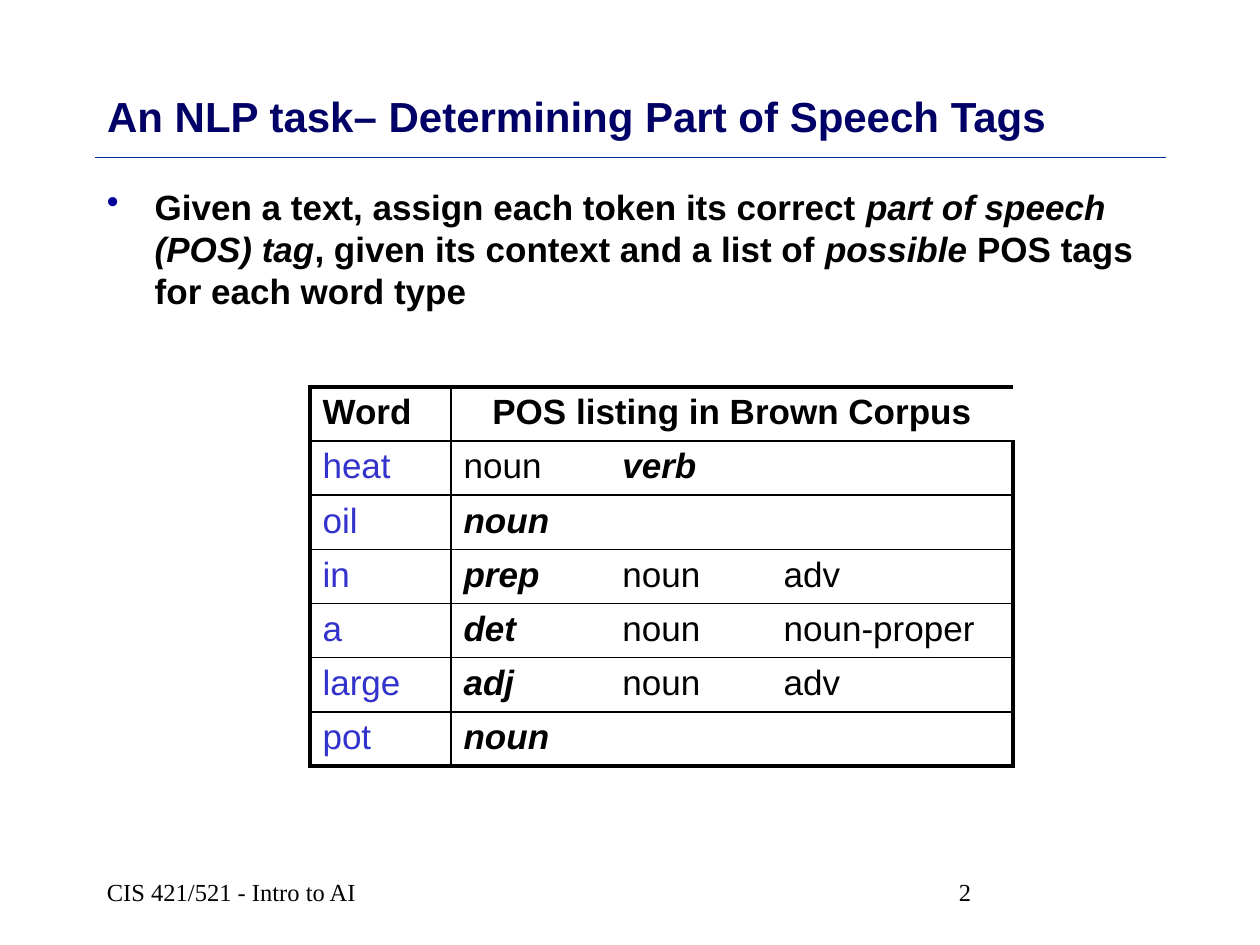
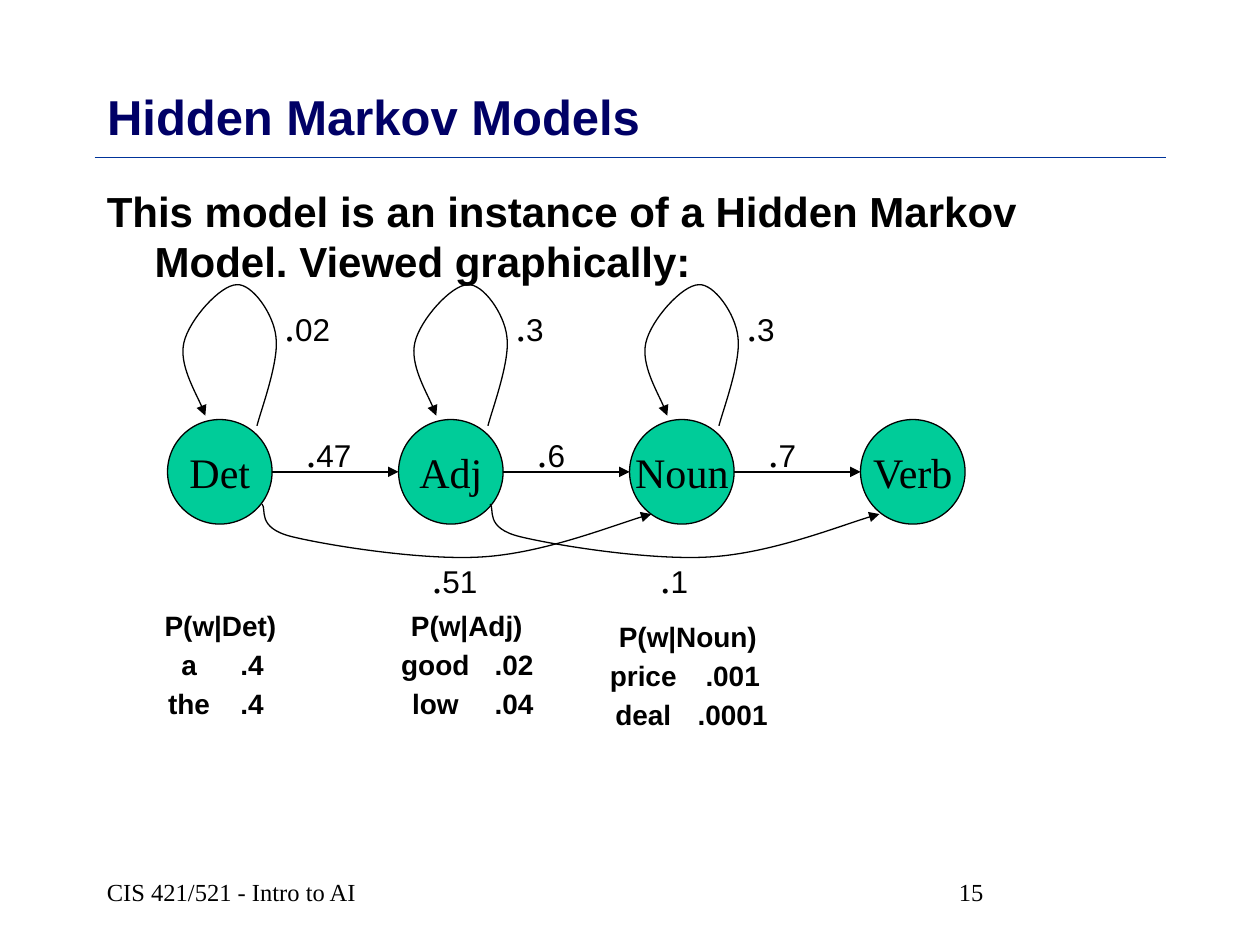
from dataclasses import dataclass

from lxml import etree
from pptx import Presentation
from pptx.dml.color import RGBColor
from pptx.enum.shapes import MSO_CONNECTOR, MSO_SHAPE
from pptx.enum.text import MSO_ANCHOR, MSO_AUTO_SIZE, PP_ALIGN
from pptx.oxml.ns import qn
from pptx.util import Inches, Pt

LEFT, CENTER = PP_ALIGN.LEFT, PP_ALIGN.CENTER
TOP, MIDDLE = MSO_ANCHOR.TOP, MSO_ANCHOR.MIDDLE
STRAIGHT, OVAL = MSO_CONNECTOR.STRAIGHT, MSO_SHAPE.OVAL
TITLE_ONLY = 5


@dataclass(frozen=True)
class Theme:
    ink: str = "000000"
    title: str = "000066"
    rule: str = "003399"
    bullet: str = "000099"
    word: str = "3333CC"
    state: str = "00CC99"
    sans: str = "Arial"
    serif: str = "Times New Roman"
    footer_size: int = 14
    small_size: int = 16
    label_size: int = 18
    table_size: int = 20
    large_size: int = 24
    thin: float = 0.75
    medium: float = 1
    arrow: float = 1.5
    thick: float = 2.25


THEME = Theme()

# Content shared by the slides
FOOTER = "CIS 421/521 - Intro to AI"
MARGIN, CONTENT_WIDTH = 0.75, 8.5

# Content: part of speech tags; a star marks the correct tag
TASK = [
    ("Given a text, assign each token its correct ", False),
    ("part of speech (POS) tag", True),
    (", given its context and a list of ", False),
    ("possible", True),
    (" POS tags for each word type", False),
]
TAG_HEADER = ["Word", "POS listing in Brown Corpus"]
TAG_ROWS = [
    ["heat", "noun", "*verb"],
    ["oil", "*noun"],
    ["in", "*prep", "noun", "adv"],
    ["a", "*det", "noun", "noun-proper"],
    ["large", "*adj", "noun", "adv"],
    ["pot", "*noun"],
]
TAG_COLUMNS = [1.12, 1.26, 1.28, 1.92]

# Content: hidden Markov model
MODEL_INTRO = "This model is an instance of a Hidden Markov Model. Viewed graphically:"
STATES = [  # name, loop probability, probability of the next state
    ("Det", "02", "47"),
    ("Adj", "3", "6"),
    ("Noun", "3", "7"),
    ("Verb", None, None),
]
SKIPS = ["51", "1"]
EMISSIONS = [  # left, top, column widths, heading, rows
    (1.25, 4.83, [0.5, 0.5], "P(w|Det)", [["a", ".4"], ["the", ".4"]]),
    (3.08, 4.83, [0.75, 0.5], "P(w|Adj)", [["good", ".02"], ["low", ".04"]]),
    (4.75, 4.92, [0.71, 0.71], "P(w|Noun)", [["price", ".001"], ["deal", ".0001"]]),
]

# Geometry of the model; curves are a start point and triples of Bezier points
FIRST_STATE, STATE_PITCH, STATE_TOP, STATE_SIZE = 1.33, 11 / 6, 3.33, 0.83
SKIP_PITCH = 1.81
LOOP_CURVE = [
    (2.04, 3.38), (2.07, 3.26), (2.22, 2.86), (2.19, 2.67),
    (2.17, 2.49), (2.0, 2.25), (1.88, 2.26),
    (1.75, 2.26), (1.5, 2.54), (1.46, 2.72),
    (1.42, 2.89), (1.6, 3.2), (1.63, 3.3),
]
SKIP_CURVE = [
    (2.08, 4), (2.12, 4.04), (2.03, 4.19), (2.32, 4.26),
    (2.61, 4.33), (3.36, 4.45), (3.83, 4.42),
    (4.31, 4.39), (4.94, 4.14), (5.17, 4.08),
]


# Text helpers
def add_run(paragraph, text, size, color=THEME.ink, name=THEME.sans, **style):
    run = paragraph.add_run()
    run.text = text
    run.font.color.rgb = RGBColor.from_string(color)
    for key, value in {"size": Pt(size), "name": name, **style}.items():
        setattr(run.font, key, value)


def format_frame(frame, **values):
    defaults = {
        "word_wrap": True, "auto_size": MSO_AUTO_SIZE.NONE, "vertical_anchor": TOP,
        "margin_left": Inches(0.1), "margin_right": Inches(0.1),
        "margin_top": Inches(0.05), "margin_bottom": Inches(0.05),
    }
    for key, value in {**defaults, **values}.items():
        setattr(frame, key, value)
    return frame.paragraphs[0]


def add_text_box(slide, left, top, width, height, **frame_values):
    box = slide.shapes.add_textbox(*map(Inches, (left, top, width, height)))
    return format_frame(box.text_frame, **frame_values)


def add_body(slide, bullet=None):
    paragraph = add_text_box(slide, MARGIN, 1.42, CONTENT_WIDTH, 5)
    properties = paragraph._p.get_or_add_pPr()
    properties.set("marL", str(Inches(0.38)))
    properties.set("indent", str(-Inches(0.38)))
    if bullet:
        color = etree.SubElement(properties, qn("a:buClr"))
        etree.SubElement(color, qn("a:srgbClr"), val=THEME.bullet)
        etree.SubElement(properties, qn("a:buChar"), char=bullet)
    return paragraph


# Line helpers
def format_line(shape, width, color=THEME.ink, arrow=False):
    shape.line.color.rgb = RGBColor.from_string(color)
    shape.line.width = Pt(width)
    if arrow:
        etree.SubElement(shape.line._get_or_add_ln(), qn("a:tailEnd"), type="triangle")


def add_line(slide, start, end, width, **line):
    connector = slide.shapes.add_connector(STRAIGHT, *map(Inches, (*start, *end)))
    format_line(connector, width, **line)
    etree.SubElement(connector._element.spPr, qn("a:effectLst"))


def add_curve(slide, points, shift):
    start, *rest = [(Inches(x + shift), Inches(y)) for x, y in points]
    builder = slide.shapes.build_freeform(*start)
    builder.add_line_segments(rest, close=False)
    curve = builder.convert_to_shape()
    curve.shadow.inherit = False
    curve.fill.background()
    format_line(curve, THEME.thin, arrow=True)
    # Turn every three line segments into one Bezier segment
    segments = list(curve._element.iter(qn("a:lnTo")))
    for index in range(0, len(segments), 3):
        bezier = etree.Element(qn("a:cubicBezTo"))
        segments[index].addprevious(bezier)
        for segment in segments[index:index + 3]:
            bezier.append(segment[0])
            segment.getparent().remove(segment)


# Table helpers
def set_borders(cell, widths):
    properties = cell._tc.get_or_add_tcPr()
    for side, width in zip("LRTB", widths):
        line = etree.SubElement(properties, qn(f"a:ln{side}"), w=str(Pt(width)))
        if width:
            fill = etree.SubElement(line, qn("a:solidFill"))
            etree.SubElement(fill, qn("a:srgbClr"), val=THEME.ink)
        else:
            etree.SubElement(line, qn("a:noFill"))


def add_table(slide, left, top, columns, row_count, row_height, margins, borders):
    """Add a plain table; borders(row, column) gives left, right, top, bottom widths."""
    frame = slide.shapes.add_table(
        row_count, len(columns), Inches(left), Inches(top),
        Inches(sum(columns)), Inches(row_height * row_count))
    table = frame.table
    table.first_row = table.horz_banding = False
    for column, width in zip(table.columns, columns):
        column.width = Inches(width)
    horizontal, vertical = map(Inches, margins)
    for row in range(row_count):
        for column in range(len(columns)):
            cell = table.cell(row, column)
            cell.margin_left = cell.margin_right = horizontal
            cell.margin_top = cell.margin_bottom = vertical
            set_borders(cell, borders(row, column))
            cell.fill.background()
    return table


def write_cell(cell, text, size, align=LEFT, **style):
    paragraph = cell.text_frame.paragraphs[0]
    paragraph.alignment = align
    add_run(paragraph, text, size, **style)


# Slide frame: title, rule and footer
def add_slide(presentation, title, title_size, number):
    slide = presentation.slides.add_slide(presentation.slide_layouts[TITLE_ONLY])
    placeholder = slide.shapes.title
    box = {"left": MARGIN, "top": 0.67, "width": CONTENT_WIDTH, "height": 0.5}
    for key, value in box.items():
        setattr(placeholder, key, Inches(value))
    paragraph = format_frame(placeholder.text_frame, vertical_anchor=MIDDLE)
    paragraph.alignment = LEFT
    add_run(paragraph, title, title_size, THEME.title, bold=True)
    add_line(slide, (MARGIN, 1.25), (MARGIN + CONTENT_WIDTH, 1.25),
             THEME.medium, color=THEME.rule)
    for left, width, indent, text in [
        (MARGIN, 2.58, 0.1, FOOTER),
        (7.17, 2.08, 0.44, str(number)),
    ]:
        paragraph = add_text_box(slide, left, 6.83, width, 0.5,
                                 vertical_anchor=MIDDLE, margin_left=Inches(indent))
        add_run(paragraph, text, THEME.footer_size, name=THEME.serif)
    return slide


# Part of speech slide
def tag_borders(row, column):
    last_row, last_column = len(TAG_ROWS), len(TAG_COLUMNS) - 1
    return (
        {0: THEME.thick, 1: THEME.medium}.get(column, 0),
        {0: THEME.medium, last_column: THEME.thick}.get(column, 0),
        THEME.thick if row == 0 else THEME.medium,
        THEME.thick if row == last_row else THEME.medium,
    )


def build_tag_slide(presentation):
    slide = add_slide(presentation, "An NLP task– Determining Part of Speech Tags", 24, 2)
    body = add_body(slide, bullet="•")
    for text, italic in TASK:
        add_run(body, text, THEME.table_size, bold=True, italic=italic)
    table = add_table(slide, 2.46, 3.07, TAG_COLUMNS, len(TAG_ROWS) + 1, 0.43,
                      (0.1, 0.05), tag_borders)
    table.cell(0, 1).merge(table.cell(0, len(TAG_COLUMNS) - 1))
    for column, (text, align) in enumerate(zip(TAG_HEADER, (LEFT, CENTER))):
        write_cell(table.cell(0, column), text, THEME.table_size, align, bold=True)
    for row, (word, *tags) in enumerate(TAG_ROWS, start=1):
        write_cell(table.cell(row, 0), word, THEME.table_size, color=THEME.word)
        for column, tag in enumerate(tags, start=1):
            correct = tag.startswith("*")
            write_cell(table.cell(row, column), tag.lstrip("*"), THEME.table_size,
                       bold=correct, italic=correct)


# Hidden Markov model slide
def add_probability(slide, left, top, digits):
    width = 0.28 + 0.14 * len(digits)
    paragraph = add_text_box(slide, left, top, width, 0.5, word_wrap=False)
    add_run(paragraph, ".", THEME.large_size, name=THEME.serif)
    add_run(paragraph, digits, THEME.label_size)


def add_state(slide, index, name, loop, following):
    shift = index * STATE_PITCH
    left = FIRST_STATE + shift
    right, middle = left + STATE_SIZE, STATE_TOP + STATE_SIZE / 2
    state = slide.shapes.add_shape(
        OVAL, *map(Inches, (left, STATE_TOP, STATE_SIZE, STATE_SIZE)))
    state.shadow.inherit = False
    state.fill.solid()
    state.fill.fore_color.rgb = RGBColor.from_string(THEME.state)
    format_line(state, THEME.thin)
    paragraph = format_frame(state.text_frame, word_wrap=False, vertical_anchor=MIDDLE)
    paragraph.alignment = CENTER
    add_run(paragraph, name, THEME.large_size, name=THEME.serif)
    if following:
        add_line(slide, (right, middle), (left + STATE_PITCH, middle),
                 THEME.arrow, arrow=True)
        add_curve(slide, LOOP_CURVE, shift)
        add_probability(slide, right, 2.33, loop)
        add_probability(slide, right + 0.17, STATE_TOP, following)


def build_model_slide(presentation):
    slide = add_slide(presentation, "Hidden Markov Models", 28, 15)
    add_run(add_body(slide), MODEL_INTRO, THEME.large_size, bold=True)
    for index, state in enumerate(STATES):
        add_state(slide, index, *state)
    for index, digits in enumerate(SKIPS):
        add_curve(slide, SKIP_CURVE, index * SKIP_PITCH)
        add_probability(slide, 3.33 + index * SKIP_PITCH, 4.33, digits)
    for left, top, columns, heading, rows in EMISSIONS:
        table = add_table(slide, left, top, columns, len(rows) + 1, 0.31,
                          (0.05, 0.02), lambda row, column: (0, 0, 0, 0))
        table.cell(0, 0).merge(table.cell(0, 1))
        for row, texts in enumerate([[heading], *rows]):
            for column, text in enumerate(texts):
                write_cell(table.cell(row, column), text, THEME.small_size, CENTER, bold=True)


def main():
    presentation = Presentation()
    presentation.slide_width, presentation.slide_height = Inches(10), Inches(7.5)
    build_tag_slide(presentation)
    build_model_slide(presentation)
    presentation.save("out.pptx")


if __name__ == "__main__":
    main()
